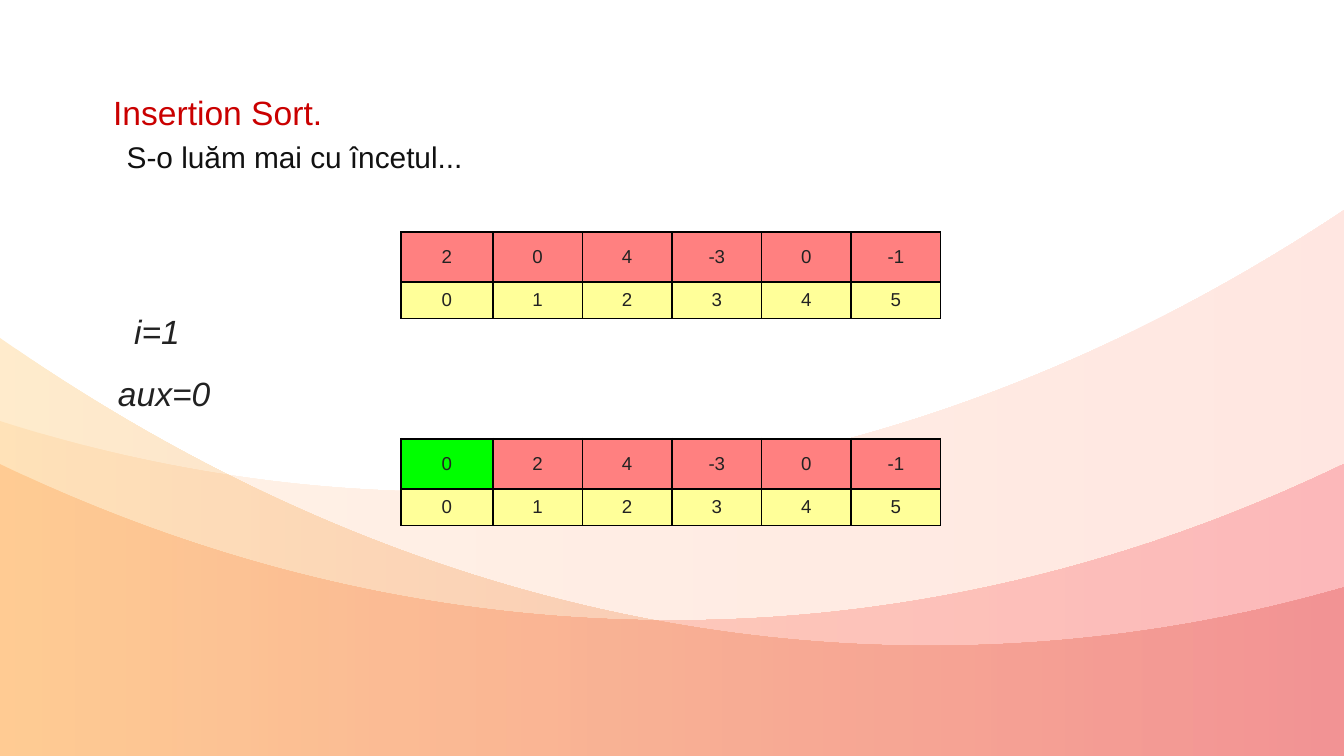
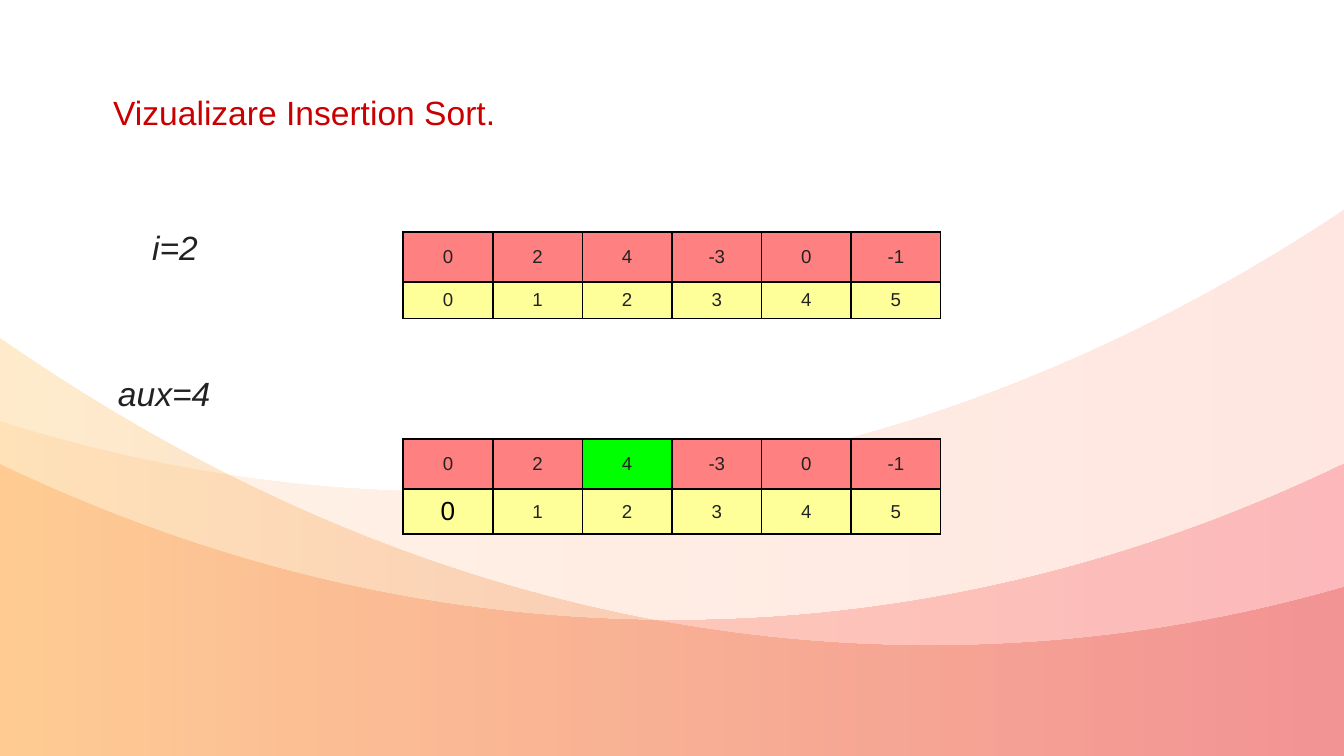
from dataclasses import dataclass

from lxml.etree import SubElement
from pptx import Presentation
from pptx.dml.color import RGBColor as RGB
from pptx.enum.text import MSO_ANCHOR as Anchor, MSO_AUTO_SIZE as AutoSize, PP_ALIGN as Align
from pptx.oxml.ns import qn
from pptx.util import Pt


@dataclass(frozen=True)
class Theme:
    font: str = "Arial"
    title: str = "CA0000"
    subtitle: str = "111111"
    body: str = "222222"
    black: str = "000000"
    value: str = "FF8080"
    index: str = "FFFF99"
    placed: str = "00FF00"
    title_size: float = 18
    subtitle_size: float = 16
    cell_size: float = 10
    large_cell_size: float = 14


THEME = Theme()
WIDTH, HEIGHT = 720, 405
LEFT, RIGHT, BOTTOM = -0.5, 720.5, 405.2
TITLE_ONLY = 5
PLAIN_TABLE = "{2D5ABB26-0587-4C30-8999-92F81FD0307C}"

# Arrays: right edge, column width, row heights and rows between the two arrays
ARRAY_RIGHT, ARRAY_TOP, COLUMN = 504, 124.2, 48
VALUE_ROW, INDEX_ROW, TALL_INDEX_ROW, GAP_ROW, GAP_COUNT = 27, 19.4, 24.1, 21.5, 3

# Waves: valley, curve down to the left edge, curve back from the right edge,
# colours from left to right
WAVES = [
    ((242.6, 263.5),
     [(159.1, 263.5), (77.8, 250.6), (LEFT, 225.4)],
     [(RIGHT, 112.3), (574.6, 209.5), (412.6, 263.5)],
     ("FFC486", "FF866B")),
    ((360, 332.4),
     [(234, 332.4), (113, 303.1), (LEFT, 248.4)],
     [(RIGHT, 248.4), (607, 303.1), (486, 332.4)],
     ("FF6A00", "F20122")),
    ((498.2, 346),
     [(319.7, 346), (150.5, 286.6), (LEFT, 180.7)],
     [(RIGHT, 314.6), (648.7, 335.5), (573.8, 346)],
     ("FF9F00", "CC0000")),
]


def bend(lines):
    """Turn three successive line segments into one cubic curve."""
    curve = lines[0].getparent().makeelement(qn("a:cubicBezTo"))
    lines[0].addprevious(curve)
    for line in lines:
        curve.append(line[0])
        line.getparent().remove(line)


def add_wave(slide, valley, to_left, from_right, colours):
    outline = [valley, *to_left, (LEFT, BOTTOM), (RIGHT, BOTTOM), *from_right, valley]
    start, *rest = [(Pt(x), Pt(y)) for x, y in outline]
    builder = slide.shapes.build_freeform(*start)
    builder.add_line_segments(rest, close=True)
    wave = builder.convert_to_shape()
    segments = list(wave.element.spPr.iter(qn("a:lnTo")))
    bend(segments[:3])
    bend(segments[-3:])

    wave.shadow.inherit = False
    wave.line.fill.background()
    wave.fill.gradient()
    wave.fill.gradient_angle = 0
    for stop, colour in zip(wave.fill.gradient_stops, colours):
        stop.color.rgb = RGB.from_string(colour)
    for tint in wave.element.spPr.iter(qn("a:srgbClr")):
        SubElement(tint, qn("a:alpha"), val="20000")
    return wave


def add_master_waves(slide, master):
    """Draw the waves once and move them behind the master's placeholders."""
    for order, wave_parts in enumerate(WAVES):
        wave = add_wave(slide, *wave_parts).element
        wave.nvSpPr.cNvPr.set("id", str(100 + order))
        master.shapes.element.insert(2 + order, wave)


def style_paragraph(paragraph, size, colour, italic=False, align=Align.LEFT):
    paragraph.alignment = align
    for run in paragraph.runs:
        run.font.name = THEME.font
        run.font.size = Pt(size)
        run.font.italic = italic
        run.font.color.rgb = RGB.from_string(colour)


def fill_line(shape, text, box, size, colour, italic=False, wrap=False):
    """Place a one-line text shape and set its wording and style."""
    shape.left, shape.top, shape.width, shape.height = map(Pt, box)
    frame = shape.text_frame
    frame.text = text
    frame.word_wrap = wrap
    frame.auto_size = AutoSize.SHAPE_TO_FIT_TEXT
    frame.vertical_anchor = Anchor.TOP
    style_paragraph(frame.paragraphs[0], size, colour, italic)


def add_title(slide, text, width):
    fill_line(slide.shapes.title, text, (53.4, 45.4, width, 28.8),
              THEME.title_size, THEME.title)


def add_line(slide, text, box, size, colour, **options):
    fill_line(slide.shapes.add_textbox(0, 0, 0, 0), text, box, size, colour, **options)


def add_variable(slide, text, left, top, width, wrap=False):
    add_line(slide, text, (left, top, width, 28.8), THEME.title_size, THEME.body,
             italic=True, wrap=wrap)


def set_borders(cell):
    properties = cell._tc.get_or_add_tcPr()
    for side in ("lnL", "lnR", "lnT", "lnB"):
        border = SubElement(properties, qn(f"a:{side}"), w=str(Pt(1)))
        paint = SubElement(border, qn("a:solidFill"))
        SubElement(paint, qn("a:srgbClr"), val=THEME.black)


def fill_cell(cell, text, fill, size=THEME.cell_size, colour=THEME.body):
    cell.text = str(text)
    cell.vertical_anchor = Anchor.MIDDLE
    set_borders(cell)
    cell.fill.solid()
    cell.fill.fore_color.rgb = RGB.from_string(fill)
    style_paragraph(cell.text_frame.paragraphs[0], size, colour, align=Align.CENTER)


def clear_cell(cell):
    cell.fill.background()
    paragraph = cell.text_frame.paragraphs[0]
    SubElement(paragraph._p, qn("a:endParaRPr"), sz=str(THEME.cell_size * 100))


def add_arrays(slide, before, after, placed, first_column=COLUMN, last_row=INDEX_ROW):
    """The array before and after one step, each above its indices."""
    widths = [first_column] + [COLUMN] * (len(before) - 1)
    heights = [VALUE_ROW, INDEX_ROW] + [GAP_ROW] * GAP_COUNT + [VALUE_ROW, last_row]
    frame = slide.shapes.add_table(
        len(heights), len(widths), Pt(ARRAY_RIGHT - sum(widths)), Pt(ARRAY_TOP),
        Pt(sum(widths)), Pt(sum(heights)))
    table = frame.table
    table.first_row = table.horz_banding = False
    table._tbl.tblPr.find(qn("a:tableStyleId")).text = PLAIN_TABLE
    for column, width in zip(table.columns, widths):
        column.width = Pt(width)
    for row, height in zip(table.rows, heights):
        row.height = Pt(height)
    for cell in table.iter_cells():
        cell.margin_top = cell.margin_bottom = Pt(3.6)

    after_row = 2 + GAP_COUNT
    for top_row, values, marked in ((0, before, None), (after_row, after, placed)):
        for index, value in enumerate(values):
            fill = THEME.placed if index == marked else THEME.value
            fill_cell(table.cell(top_row, index), value, fill)
            fill_cell(table.cell(top_row + 1, index), index, THEME.index)
    for row in range(2, after_row):
        for column in range(len(widths)):
            clear_cell(table.cell(row, column))
    return table


def build_first_step(slide):
    add_title(slide, "Insertion Sort.", 126.7)
    add_arrays(slide, [2, 0, 4, -3, 0, -1], [0, 2, 4, -3, 0, -1],
               placed=0, first_column=49.2)
    add_variable(slide, "i=1", 64.8, 163, 38.9)
    add_variable(slide, "aux=0", 56.1, 196.1, 64.1, wrap=True)
    add_line(slide, "S-o luăm mai cu încetul...", (60.8, 70.6, 195.1, 26.6),
             THEME.subtitle_size, THEME.subtitle)


def build_second_step(slide):
    add_title(slide, "Vizualizare Insertion Sort.", 219.6)
    add_variable(slide, "aux=4", 56.1, 196.1, 64.1, wrap=True)
    add_variable(slide, "i=2", 74.4, 118.1, 38.9)
    values = [0, 2, 4, -3, 0, -1]
    arrays = add_arrays(slide, values, values, placed=2, last_row=TALL_INDEX_ROW)
    # The first index of the lower array is larger
    first_index = arrays.cell(len(arrays.rows) - 1, 0).text_frame.paragraphs[0]
    style_paragraph(first_index, THEME.large_cell_size, THEME.black, align=Align.CENTER)


def main():
    deck = Presentation()
    deck.slide_width, deck.slide_height = Pt(WIDTH), Pt(HEIGHT)
    layout = deck.slide_layouts[TITLE_ONLY]
    first, second = (deck.slides.add_slide(layout) for _ in range(2))
    add_master_waves(first, deck.slide_master)
    build_first_step(first)
    build_second_step(second)
    deck.save("out.pptx")


if __name__ == "__main__":
    main()
